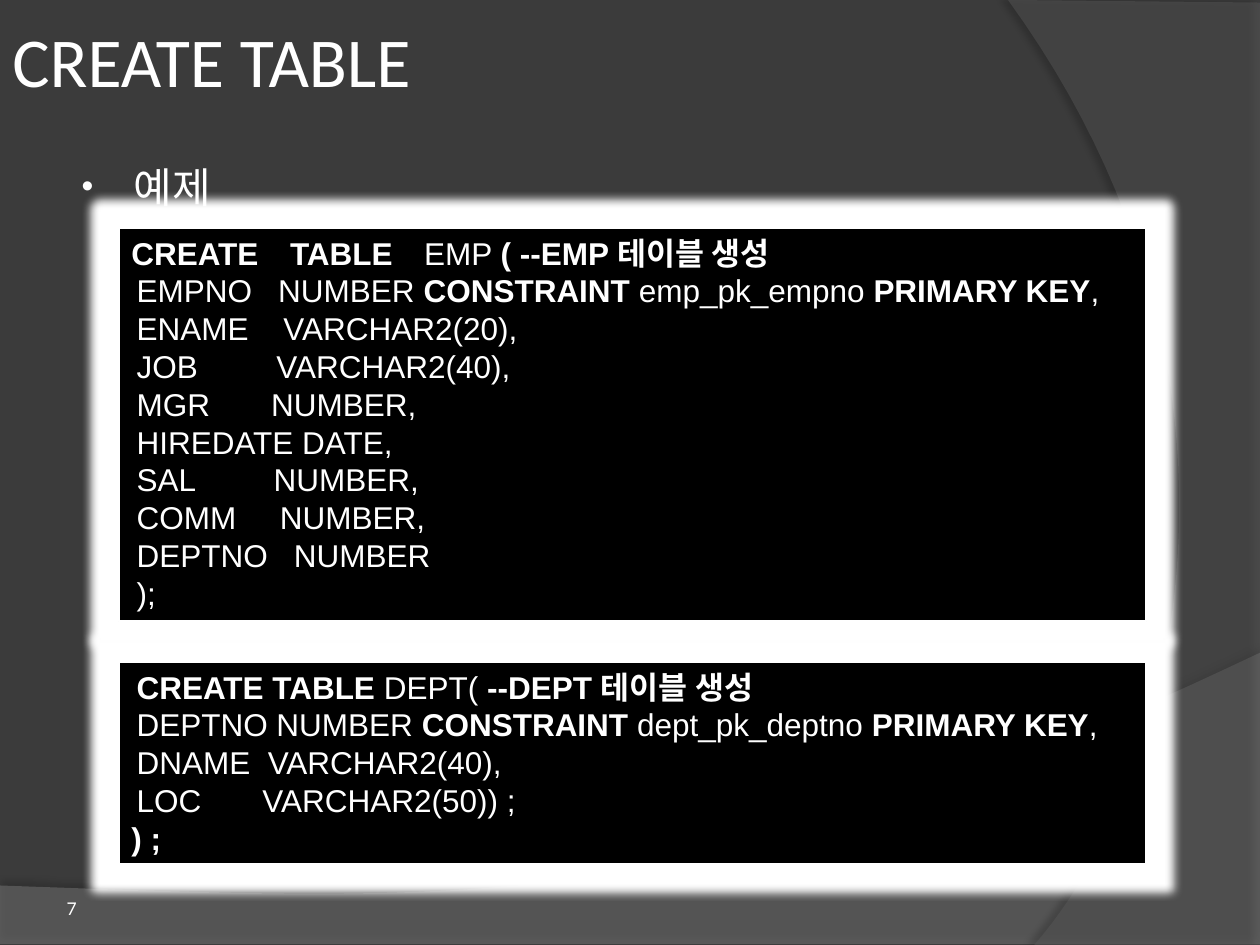
from dataclasses import dataclass

from lxml.etree import SubElement
from pptx import Presentation
from pptx.dml.color import RGBColor as RGB
from pptx.enum.shapes import MSO_SHAPE as Shape
from pptx.enum.text import MSO_ANCHOR as Anchor, PP_ALIGN as Align
from pptx.oxml.ns import qn
from pptx.util import Pt


@dataclass(frozen=True)
class Theme:
    back: str = "3B3B3B"
    wave: str = "7F7F7F"
    arc: str = "5E5E5E"
    ink: str = "FFFFFF"
    panel: str = "000000"
    shade: str = "000000"
    title_size: int = 40
    body_size: int = 24
    code_size: int = 18
    code_pitch: float = 21.6
    number_size: int = 10
    title_font: str = "Calibri"
    body_font: str = "Arial"
    number_font: str = "Lato"


THEME = Theme()

# Asterisks switch bold on and off
EMP_CODE = [
    "*CREATE　TABLE　*EMP *( --EMP 테이블 생성*",
    "EMPNO   NUMBER *CONSTRAINT *emp_pk_empno *PRIMARY KEY*,",
    "ENAME    VARCHAR2(20),",
    "JOB         VARCHAR2(40),",
    "MGR       NUMBER,",
    "HIREDATE DATE,",
    "SAL         NUMBER,",
    "COMM     NUMBER,",
    "DEPTNO   NUMBER",
    ");",
]
DEPT_CODE = [
    "*CREATE TABLE *DEPT( *--DEPT 테이블 생성*",
    "DEPTNO NUMBER *CONSTRAINT *dept_pk_deptno *PRIMARY KEY*,",
    "DNAME  VARCHAR2(40),",
    "LOC       VARCHAR2(50)) ;",
    "*) ;*",
]


def add_effect(shape, kind, color, alpha, **settings):
    shape.shadow.inherit = False
    effects = shape._element.spPr.find(qn("a:effectLst"))
    effect = SubElement(effects, qn(f"a:{kind}"),
                        {name: str(value) for name, value in settings.items()})
    tint = SubElement(effect, qn("a:srgbClr"), val=color)
    SubElement(tint, qn("a:alpha"), val=str(alpha * 1000))


def curve(start, first, second, end, steps=48):
    """Points along a cubic curve, without its start."""
    for step in range(1, steps + 1):
        t = step / steps
        weights = ((1 - t) ** 3, 3 * t * (1 - t) ** 2, 3 * t * t * (1 - t), t ** 3)
        yield tuple(sum(w * p[axis] for w, p in zip(weights, (start, first, second, end)))
                    for axis in (0, 1))


def add_swoosh(page, points, color, alpha, shadow_alpha, distance, angle):
    (x, y), *others = [(Pt(x), Pt(y)) for x, y in points]
    builder = page.shapes.build_freeform(x, y)
    builder.add_line_segments(others, close=True)
    swoosh = builder.convert_to_shape()
    swoosh.fill.solid()
    swoosh.fill.fore_color.rgb = RGB.from_string(color)
    tint = swoosh._element.spPr.find(qn("a:solidFill"))[0]
    SubElement(tint, qn("a:alpha"), val=str(alpha * 1000))
    swoosh.line.fill.background()
    add_effect(swoosh, "outerShdw", THEME.shade, shadow_alpha, blurRad=Pt(4),
               dist=Pt(distance), dir=angle * 60000)


def add_backdrop(page, width, height):
    page.background.fill.solid()
    page.background.fill.fore_color.rgb = RGB.from_string(THEME.back)
    # Wave along the bottom
    crest, shore = (width, 373), (0, 506)
    wave = [(0, height - 0.5), (width, height - 0.5), crest,
            *curve(crest, (402.5, 524), (281.5, 516), shore)]
    add_swoosh(page, wave, THEME.wave, 45, 35, 3.5, 270)
    # Arc down the right side
    foot, tip = (591, height), (576, 0)
    arc = [(width, 1.5), (width, height), foot,
           *curve(foot, (673, 446), (733, 216), tip)]
    add_swoosh(page, arc, THEME.arc, 40, 45, 4, 180)


def style(para, size, font):
    for span in para.runs:
        span.font.size = Pt(size)
        span.font.name = font
        span.font.color.rgb = RGB.from_string(THEME.ink)


def add_text(page, box, text, size, font, anchor):
    label = page.shapes.add_textbox(*map(Pt, box))
    frame = label.text_frame
    frame.word_wrap = True
    frame.vertical_anchor = anchor
    frame.text = text
    style(frame.paragraphs[0], size, font)
    return frame


def add_bullet_text(page, box, text):
    frame = add_text(page, box, text, THEME.body_size, THEME.body_font, Anchor.TOP)
    props = frame.paragraphs[0]._p.get_or_add_pPr()
    props.set("marL", str(Pt(33)))
    props.set("indent", str(Pt(-30)))
    tint = SubElement(props, qn("a:buClr"))
    SubElement(tint, qn("a:srgbClr"), val=THEME.ink)
    SubElement(props, qn("a:buSzPct"), val="80000")
    SubElement(props, qn("a:buFont"), typeface=THEME.body_font)
    SubElement(props, qn("a:buChar"), char="•")


def add_code_panel(page, box, lines, flush_line):
    panel = page.shapes.add_shape(Shape.RECTANGLE, *map(Pt, box))
    panel.fill.solid()
    panel.fill.fore_color.rgb = RGB.from_string(THEME.panel)
    panel.line.color.rgb = RGB.from_string(THEME.ink)
    panel.line.width = Pt(1.5)
    add_effect(panel, "glow", THEME.ink, 100, rad=Pt(10))
    frame = panel.text_frame
    frame.word_wrap = True
    frame.vertical_anchor = Anchor.TOP
    for index, line in enumerate(lines):
        para = frame.paragraphs[0] if index == 0 else frame.add_paragraph()
        para.alignment = Align.LEFT
        para.line_spacing = Pt(THEME.code_pitch)
        if index != flush_line:
            para._p.get_or_add_pPr().set("marL", str(Pt(3)))
        for part, text in enumerate(line.split("*")):
            if text:
                span = para.add_run()
                span.text = text
                span.font.bold = part % 2 == 1
        style(para, THEME.code_size, THEME.body_font)


def main():
    width, height = 720, 540
    deck = Presentation()
    deck.slide_width, deck.slide_height = Pt(width), Pt(height)
    page = deck.slides.add_slide(deck.slide_layouts[6])

    add_backdrop(page, width, height)
    # Heading, bullet and page number
    add_text(page, (0, 2, 626, 64), "CREATE TABLE",
             THEME.title_size, THEME.title_font, Anchor.MIDDLE)
    add_bullet_text(page, (36.5, 88.5, 648, 436), "예제")
    number = add_text(page, (31, 502.5, 79, 22.5), "7",
                      THEME.number_size, THEME.number_font, Anchor.BOTTOM)
    number.margin_bottom = 0
    # Code panels
    left, panel_width = 68, 587
    add_code_panel(page, (left, 130, panel_width, 225), EMP_CODE, flush_line=0)
    add_code_panel(page, (left, 378, panel_width, 116), DEPT_CODE, flush_line=4)

    deck.save("out.pptx")


if __name__ == "__main__":
    main()
